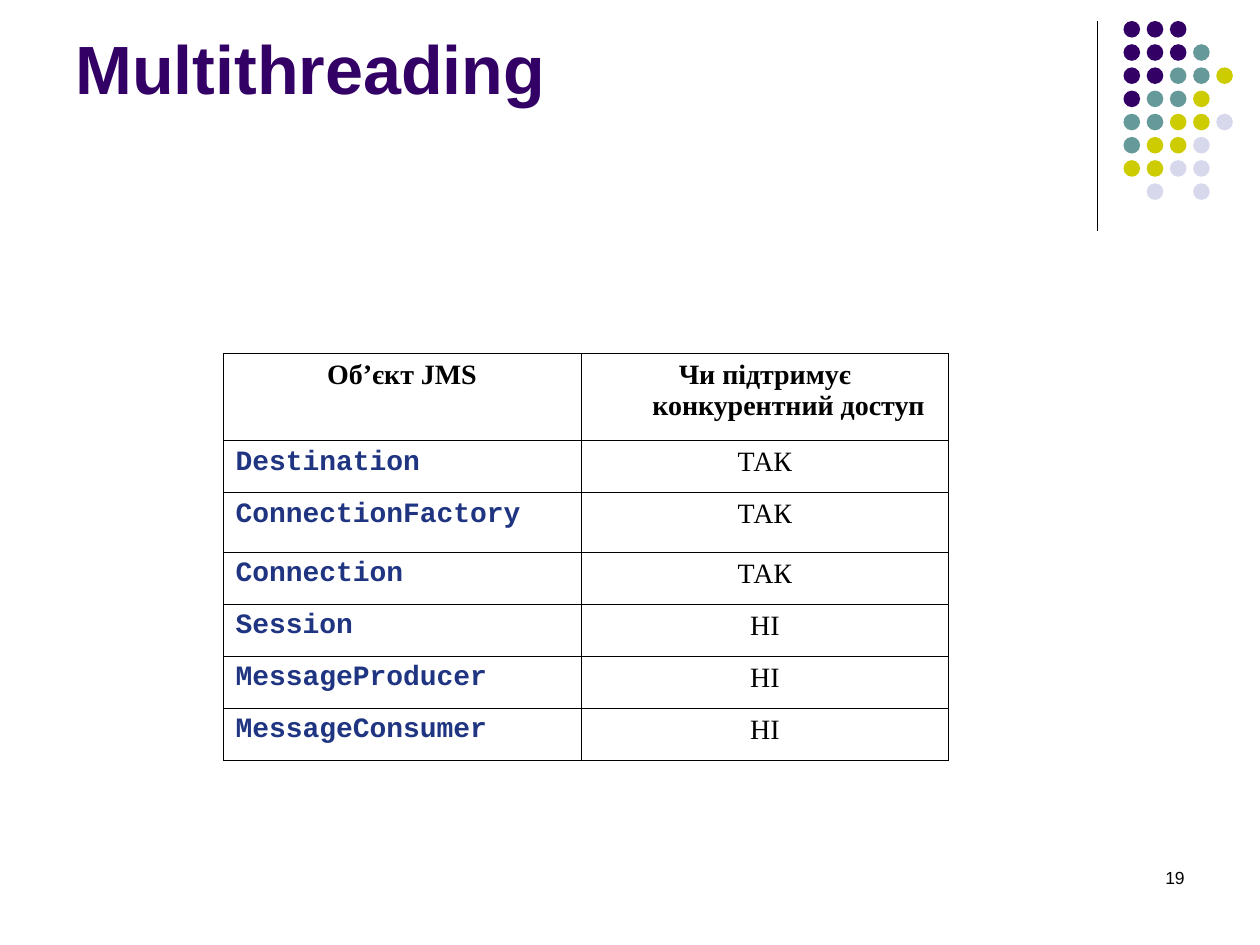
from lxml.etree import SubElement
from pptx import Presentation
from pptx.dml.color import RGBColor
from pptx.enum.shapes import MSO_CONNECTOR, MSO_SHAPE
from pptx.enum.text import MSO_ANCHOR, PP_ALIGN
from pptx.oxml.ns import qn
from pptx.util import Pt

COLORS = {
    "purple": "330066",
    "teal": "669999",
    "olive": "CCCC00",
    "lavender": "D8D8EC",
    "code": "203582",
    "black": "000000",
}
DOT_COLORS = {"P": "purple", "T": "teal", "O": "olive", "L": "lavender"}
DOT_ROWS = ["PPP", "PPPT", "PPTTO", "PTTO", "TTOOL", "TOOL", "OOLL", ".L.L"]
HEADER = ("Об’єкт JMS", "Чи підтримує конкурентний доступ")
OBJECTS = [
    ("Destination", "ТАК"),
    ("ConnectionFactory", "ТАК"),
    ("Connection", "ТАК"),
    ("Session", "НІ"),
    ("MessageProducer", "НІ"),
    ("MessageConsumer", "НІ"),
]
COL_WIDTHS = [204.5, 210.2]
ROW_HEIGHTS = [49.8, 29.7, 34.2] + [29.7] * 4


def rgb(name):
    return RGBColor.from_string(COLORS[name])


def format_paragraph(p, font, size, color, bold=False, align=PP_ALIGN.LEFT):
    p.alignment = align
    for r in p.runs:
        r.font.name = font
        r.font.size = Pt(size)
        r.font.bold = bold
        r.font.color.rgb = rgb(color)


def add_text(s, text, left, top, width, height, anchor, **style):
    tf = s.shapes.add_textbox(Pt(left), Pt(top), Pt(width), Pt(height)).text_frame
    tf.word_wrap = True
    tf.vertical_anchor = anchor
    tf.text = text
    format_paragraph(tf.paragraphs[0], "Arial", **style)


def add_rule(s, x, top, bottom):
    line = s.shapes.add_connector(MSO_CONNECTOR.STRAIGHT, Pt(x), Pt(top), Pt(x), Pt(bottom))
    line.line.color.rgb = rgb("black")
    line.line.width = Pt(0.75)
    SubElement(line._element.spPr, qn("a:effectLst"))


def add_dots(s, left, top, pitch, size):
    group = s.shapes.add_group_shape()
    for row, codes in enumerate(DOT_ROWS):
        for col, code in enumerate(codes):
            if code not in DOT_COLORS:
                continue
            dot = group.shapes.add_shape(
                MSO_SHAPE.OVAL, Pt(left + col * pitch), Pt(top + row * pitch), Pt(size), Pt(size)
            )
            dot.shadow.inherit = False
            dot.fill.solid()
            dot.fill.fore_color.rgb = rgb(DOT_COLORS[code])
            dot.line.fill.background()


def set_borders(cell, width):
    tc_pr = cell._tc.get_or_add_tcPr()
    for i, side in enumerate(("lnL", "lnR", "lnT", "lnB")):
        ln = tc_pr.makeelement(qn(f"a:{side}"), {"w": str(Pt(width))})
        fill = SubElement(ln, qn("a:solidFill"))
        SubElement(fill, qn("a:srgbClr"), val=COLORS["black"])
        tc_pr.insert(i, ln)


def fill_cell(cell, text, **style):
    cell.fill.background()
    set_borders(cell, 0.45)
    cell.text_frame.text = text
    p = cell.text_frame.paragraphs[0]
    p_pr = p._p.get_or_add_pPr()
    p_pr.set("marL", str(Pt(27)))
    p_pr.set("indent", str(Pt(-27)))
    format_paragraph(p, size=16, **style)


def add_objects_table(s, left, top):
    rows = [HEADER] + OBJECTS
    table = s.shapes.add_table(
        len(rows), len(HEADER), Pt(left), Pt(top), Pt(sum(COL_WIDTHS)), Pt(sum(ROW_HEIGHTS))
    ).table
    table.horz_banding = False
    for column, width in zip(table.columns, COL_WIDTHS):
        column.width = Pt(width)
    for row, height in zip(table.rows, ROW_HEIGHTS):
        row.height = Pt(height)
    serif = {"font": "Times New Roman", "color": "black", "align": PP_ALIGN.CENTER}
    for col, text in enumerate(HEADER):
        fill_cell(table.cell(0, col), text, bold=True, **serif)
    for row, (name, answer) in enumerate(OBJECTS, 1):
        fill_cell(table.cell(row, 0), name, font="Courier New", color="code", bold=True)
        fill_cell(table.cell(row, 1), answer, **serif)


def main():
    prs = Presentation()
    prs.slide_width, prs.slide_height = Pt(720), Pt(540)
    s = prs.slides.add_slide(prs.slide_layouts[6])
    add_rule(s, 627, 12, 132)
    add_dots(s, left=642, top=12, pitch=13.25, size=9.5)
    add_text(s, "19", 516, 492, 168, 36, MSO_ANCHOR.TOP,
             size=10, color="black", align=PP_ALIGN.RIGHT)
    add_text(s, "Multithreading", 36, 9.5, 594, 56, MSO_ANCHOR.BOTTOM,
             size=39, color="purple", bold=True)
    add_objects_table(s, left=127.5, top=202)
    prs.save("out.pptx")


if __name__ == "__main__":
    main()
